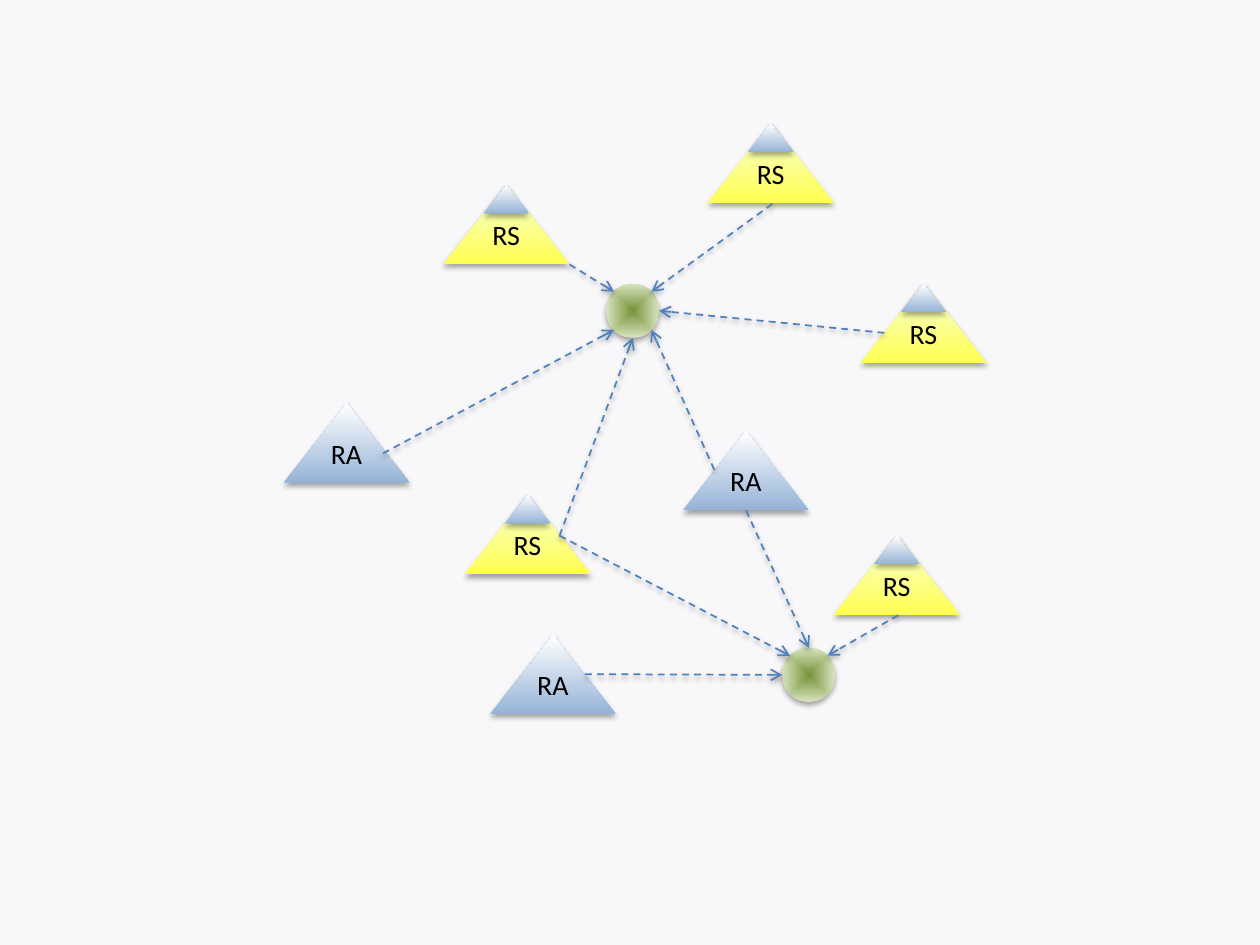
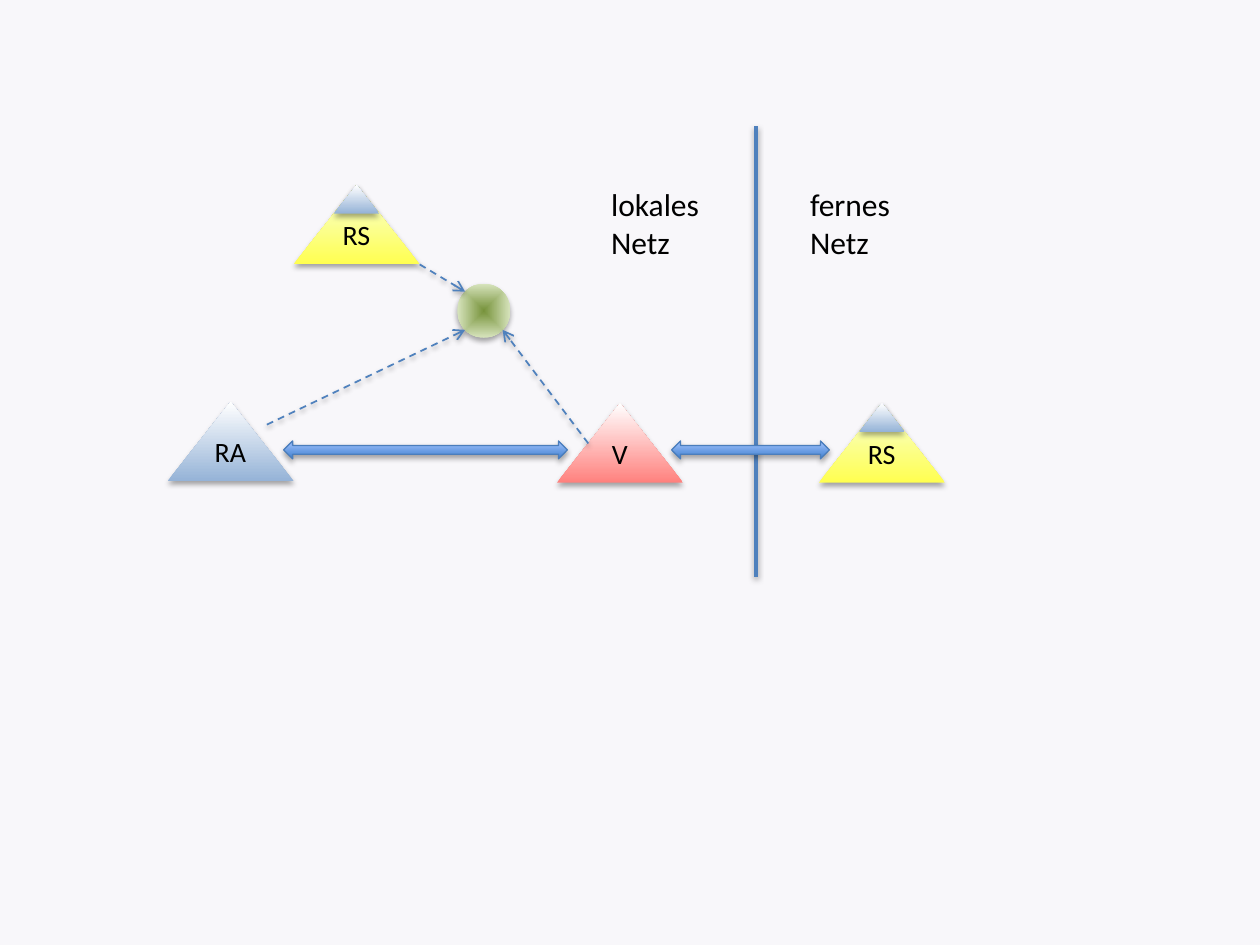
import math

import pptx
import pptx.dml.color
import pptx.enum.dml
import pptx.enum.shapes
import pptx.enum.text
import pptx.oxml
import pptx.oxml.ns
import pptx.util

Cm = pptx.util.Cm
Pt = pptx.util.Pt
RGBColor = pptx.dml.color.RGBColor
KIND = pptx.enum.shapes.MSO_SHAPE
STRAIGHT = pptx.enum.shapes.MSO_CONNECTOR.STRAIGHT
NS = pptx.oxml.ns.nsdecls("a")
qn = pptx.oxml.ns.qn

# Colours and font
PAPER = RGBColor(0xF8, 0xF7, 0xFA)
BLACK = RGBColor(0x00, 0x00, 0x00)
WHITE = RGBColor(0xFF, 0xFF, 0xFF)
BLUE = RGBColor(0x95, 0xB3, 0xD7)
YELLOW = RGBColor(0xFF, 0xFF, 0x50)
CREAM = RGBColor(0xF7, 0xFF, 0xDB)
RED = RGBColor(0xFF, 0x81, 0x7E)
GREEN = RGBColor(0x77, 0x93, 0x3C)
PALE = RGBColor(0xD7, 0xE4, 0xBD)
DEEP = RGBColor(0x3F, 0x80, 0xCE)
SKY = RGBColor(0xA4, 0xC4, 0xFF)
EDGE = RGBColor(0x4B, 0x7E, 0xBC)
LINK = RGBColor(0x4F, 0x81, 0xBD)
FONT = "Calibri"

# Sizes in cm
SIDE, TALL = 2.54, 1.6
CAP = 0.36
HUB_W, HUB_H = 1.07, 1.09

TINTS = {"RA": (BLUE, WHITE), "RS": (YELLOW, CREAM), "V": (RED, WHITE)}


def shade(item, alpha, dist):
    """Give a shape or connector a soft shadow below it."""
    item.element.spPr.append(pptx.oxml.parse_xml(
        f'<a:effectLst {NS}><a:outerShdw blurRad="40000" dist="{dist}" dir="5400000" '
        f'rotWithShape="0"><a:srgbClr val="000000"><a:alpha val="{alpha}"/></a:srgbClr>'
        '</a:outerShdw></a:effectLst>'))


def paint(shape, low, high):
    """Fill a shape from low (bottom) to high (top), without outline."""
    shape.fill.gradient()
    shape.fill.gradient_angle = 90
    for stop, tint in zip(shape.fill.gradient_stops, (low, high)):
        stop.color.rgb = tint
    shape.line.fill.background()
    shade(shape, 35000, 23000)


# Per slide: nodes (name, left, top), hubs (left, top),
# links (start x, start y, hub number, angle on the hub's rim)
PLANS = [
    ([("RA", 5.72, 8.13), ("RS", 9.37, 9.98), ("RA", 9.88, 12.8),
      ("RA", 13.77, 8.69), ("RS", 8.94, 3.73), ("RS", 14.27, 2.49),
      ("RS", 17.35, 5.72), ("RS", 16.81, 10.8)],
     [(12.22, 5.72), (15.77, 13.06)],
     [(14.4, 9.47, 0, 45), (7.72, 9.14, 0, 135), (11.28, 10.8, 0, 90),
      (11.79, 13.59, 1, 180), (11.48, 5.33, 0, 225), (17.83, 6.71, 0, 0),
      (15.57, 4.11, 0, 315), (15.04, 10.29, 1, 270), (18.11, 12.4, 1, 315),
      (11.28, 10.8, 1, 225)]),
    ([("RA", 3.38, 8.1), ("RS", 5.92, 3.73), ("RS", 16.51, 8.13), ("V", 11.23, 8.13)],
     [(9.22, 5.72)],
     [(5.38, 8.56, 0, 135), (8.46, 5.33, 0, 225), (11.86, 8.94, 0, 45)]),
]

prs = pptx.Presentation()
prs.slide_width, prs.slide_height = Cm(25.4), Cm(19.05)
back = prs.slide_master.background.fill
back.solid()
back.fore_color.rgb = PAPER

for nodes, hubs, links in PLANS:
    slide = prs.slides.add_slide(prs.slide_layouts[6])
    labels = []

    # Nodes: triangle, name and, for RS, a blue cap
    for name, left, top in nodes:
        group = slide.shapes.add_group_shape().shapes
        body = group.add_shape(KIND.ISOSCELES_TRIANGLE, Cm(left), Cm(top), Cm(SIDE), Cm(TALL))
        paint(body, *TINTS[name])
        box = group.add_textbox(Cm(left + 0.53), Cm(top + 0.54), Cm(1.47), Cm(0.94))
        labels.append((box, name, 16, pptx.enum.text.PP_ALIGN.CENTER))
        if name == "RS":
            cap = group.add_shape(KIND.ISOSCELES_TRIANGLE, Cm(left + SIDE * (1 - CAP) / 2),
                                  Cm(top), Cm(SIDE * CAP), Cm(TALL * CAP))
            paint(cap, BLUE, WHITE)

    # Hubs, with a gradient running out from the centre
    for left, top in hubs:
        hub = slide.shapes.add_shape(KIND.OVAL, Cm(left), Cm(top), Cm(HUB_W), Cm(HUB_H))
        paint(hub, GREEN, PALE)
        grad = hub.element.spPr.find(qn("a:gradFill"))
        grad.replace(grad.find(qn("a:lin")), pptx.oxml.parse_xml(
            f'<a:path {NS} path="shape"><a:fillToRect l="50000" t="50000" '
            'r="50000" b="50000"/></a:path>'))

    # Dashed links to the rim of a hub
    for x, y, index, angle in links:
        left, top = hubs[index]
        turn = math.radians(angle)
        link = slide.shapes.add_connector(
            STRAIGHT, Cm(x), Cm(y),
            Cm(left + HUB_W / 2 * (1 + math.cos(turn))),
            Cm(top + HUB_H / 2 * (1 + math.sin(turn))))
        link.line.color.rgb = LINK
        link.line.width = Pt(1)
        link.line.dash_style = pptx.enum.dml.MSO_LINE.DASH
        link.element.spPr.find(qn("a:ln")).append(
            pptx.oxml.parse_xml(f'<a:tailEnd {NS} type="arrow"/>'))
        shade(link, 38000, 20000)

    # Second slide: border between the networks, double arrows, captions
    if len(hubs) == 1:
        border = slide.shapes.add_connector(STRAIGHT, Cm(15.24), Cm(2.54), Cm(15.24), Cm(11.63))
        border.line.color.rgb = LINK
        border.line.width = Pt(2)
        shade(border, 38000, 20000)
        for left, width in ((13.54, 3.18), (5.72, 5.72)):
            arrow = slide.shapes.add_shape(KIND.LEFT_RIGHT_ARROW, Cm(left), Cm(8.89),
                                           Cm(width), Cm(0.36))
            paint(arrow, DEEP, SKY)
            arrow.line.color.rgb = EDGE
            arrow.line.width = Pt(0.75)
        for text, left in (("lokales Netz", 12.07), ("fernes Netz", 16.08)):
            box = slide.shapes.add_textbox(Cm(left), Cm(3.61), Cm(2.74), Cm(1.8))
            labels.append((box, text, 18, pptx.enum.text.PP_ALIGN.LEFT))

    # Wording of all text boxes
    for box, text, size, align in labels:
        frame = box.text_frame
        frame.word_wrap = True
        frame.auto_size = pptx.enum.text.MSO_AUTO_SIZE.SHAPE_TO_FIT_TEXT
        line = frame.paragraphs[0]
        line.text = text
        line.alignment = align
        line.font.name = FONT
        line.font.size = Pt(size)
        line.font.color.rgb = BLACK

prs.save("out.pptx")
